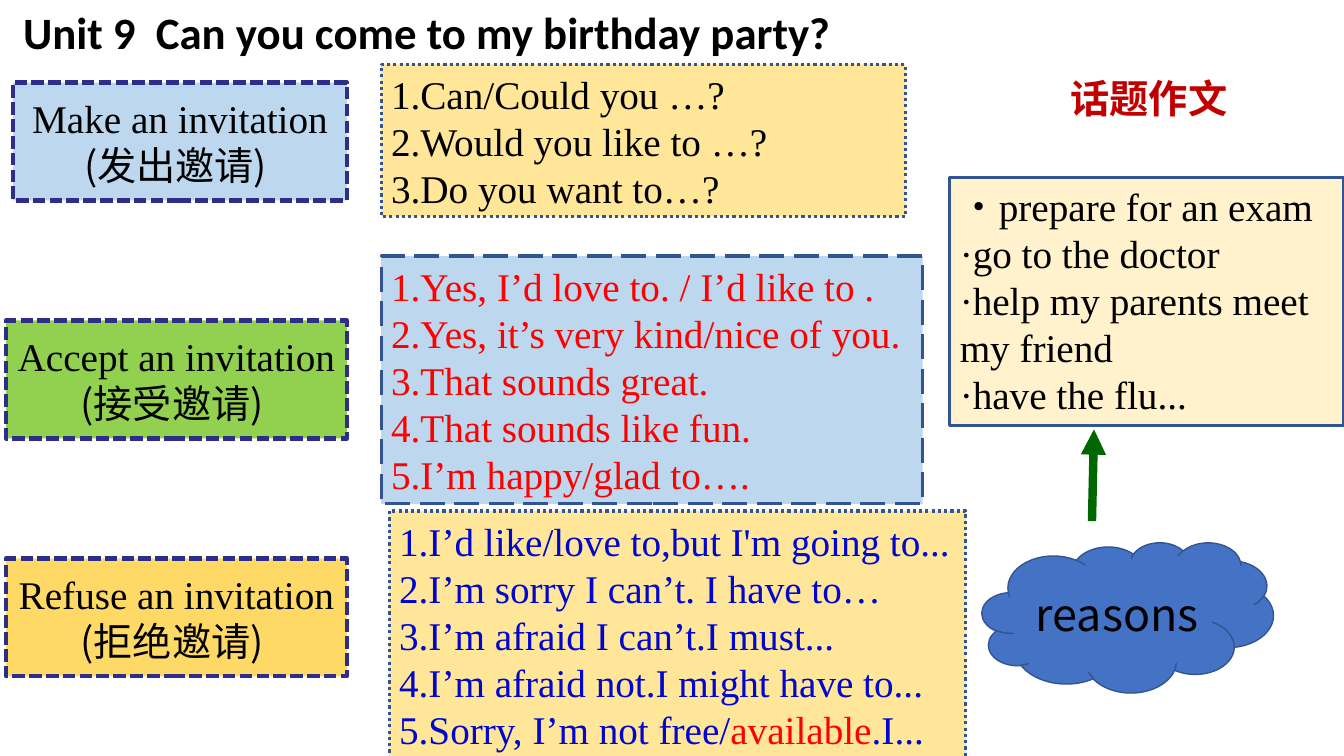
from pptx import Presentation
from pptx.dml.color import RGBColor
from pptx.enum.dml import MSO_LINE as Dash
from pptx.enum.shapes import MSO_CONNECTOR as Link, MSO_SHAPE as Kind
from pptx.enum.text import MSO_ANCHOR as Anchor, MSO_AUTO_SIZE as Fit, PP_ALIGN as Align
from pptx.oxml.ns import qn
from pptx.util import Inches, Pt
from lxml.etree import SubElement as Sub

WIDE, HIGH = Inches(13.33), Inches(7.5)
ROMAN, HAN, SANS = "Times New Roman", "Noto Sans CJK SC", "Calibri"
BLACK, RED, BLUE = "000000", "FF0000", "0005CF"
NAVY, EDGE = "2D2D8A", "325491"
SKY, SAND = "BDD7EE", "FFE699"


def color(code):
    """Turn a hex string into a colour."""
    return RGBColor.from_string(code)


def place(x, y, w, h):
    """Turn percentages of the slide into left, top, width and height."""
    return [int(side * part / 100) for side, part in zip((WIDE, HIGH) * 2, (x, y, w, h))]


def style(font, face=None, size=None, ink=None, bold=None):
    """Set the given features of a font, for Latin and Chinese text alike."""
    if size:
        font.size = Pt(size)
    if bold is not None:
        font.bold = bold
    if ink:
        font.color.rgb = color(ink)
    if face:
        font.name = face
        Sub(font._element, qn("a:ea")).set("typeface", face)


def write(shape, lines, face=ROMAN, size=28, ink=BLACK, bold=False, align=Align.LEFT,
          anchor=Anchor.MIDDLE, wrap=True, grow=True):
    """Write lines; a line is a string or a list of (text, changes) runs."""
    frame = shape.text_frame
    frame.word_wrap, frame.vertical_anchor = wrap, anchor
    frame.auto_size = Fit.SHAPE_TO_FIT_TEXT if grow else Fit.NONE
    for i, line in enumerate(lines):
        para = frame.paragraphs[0] if i == 0 else frame.add_paragraph()
        para.alignment = align
        style(para.font, face, size, ink, bold)
        for text, change in [(line, {})] if isinstance(line, str) else line:
            run = para.add_run()
            run.text = text
            style(run.font, **change)


def box(slide, spot, fill, edge=EDGE, width=2.25, dash=None, kind=Kind.RECTANGLE):
    """Add a filled, outlined shape without a shadow."""
    shape = slide.shapes.add_shape(kind, *place(*spot))
    shape.shadow.inherit = False
    shape.fill.solid()
    shape.fill.fore_color.rgb = color(fill)
    shape.line.color.rgb = color(edge)
    shape.line.width = Pt(width)
    if dash:
        shape.line.dash_style = dash
    return shape


def label(slide, row, left, fill, name, han):
    """Add the dashed label of one row, in English and Chinese."""
    spot = left, 10.93 + 31.47 * row, 25.81 - left, 15.6
    shape = box(slide, spot, fill, NAVY, 3, Dash.SQUARE_DOT)
    write(shape, [name, [(f"({han}) ", {"face": HAN})]], align=Align.CENTER, grow=False)


def panel(slide, spot, fill, dash, lines, ink=BLACK, wrap=False):
    """Add a panel of sample sentences."""
    write(box(slide, spot, fill, dash=dash), lines, ink=ink, wrap=wrap)


def caption(slide, spot, text, **look):
    """Add a bold line of free text and return its paragraph."""
    shape = slide.shapes.add_textbox(*place(*spot))
    write(shape, [text], bold=True, anchor=Anchor.TOP, **look)
    return shape.text_frame.paragraphs[0]


def arrow(slide, start, end, ink, width):
    """Add a straight arrow between two points."""
    link = slide.shapes.add_connector(Link.STRAIGHT, *place(*start, *end))
    link.line.color.rgb = color(ink)
    link.line.width = Pt(width)
    Sub(link.line._get_or_add_ln(), qn("a:tailEnd")).set("type", "triangle")
    Sub(link._element.spPr, qn("a:effectLst"))


def main():
    """Build the slide and save it."""
    deck = Presentation()
    deck.slide_width, deck.slide_height = WIDE, HIGH
    slide = deck.slides.add_slide(deck.slide_layouts[6])

    caption(slide, (0.98, 0, 76.3, 8.53), "Unit 9  Can you come to my birthday party?",
            face=SANS, size=32)

    label(slide, 0, 0.98, SKY, "Make an invitation", "发出邀请")
    label(slide, 1, 0.45, "92D050", "Accept an invitation", "接受邀请")
    label(slide, 2, 0.45, "FFD966", "Refuse an invitation", "拒绝邀请")

    panel(slide, (28.36, 33.87, 40.29, 32.8), SKY, Dash.LONG_DASH, [
        "1.Yes, I’d love to. / I’d like to .",
        "2.Yes, it’s very kind/nice of you.",
        "3.That sounds great.",
        "4.That sounds like fun.",
        "5.I’m happy/glad to…. "], RED)
    panel(slide, (28.96, 67.6, 42.91, 32.8), SAND, Dash.ROUND_DOT, [
        "1.I’d like/love to,but I'm going to...",
        "2.I’m sorry I can’t. I have to…",
        "3.I’m afraid I can’t.I must...",
        "4.I’m afraid not.I might have to...",
        [("5.Sorry, I’m not free/", {}), ("available", {"ink": RED}), (".I... ", {})]], BLUE)
    panel(slide, (28.36, 8.53, 39.01, 20.13), SAND, Dash.ROUND_DOT, [
        "1.Can/Could you …?",
        "2.Would you like to …?",
        "3.Do you want to…?"], wrap=True)

    cloud = box(slide, (73.07, 71.73, 21.68, 19.87), "4472C4", width=1, kind=Kind.CLOUD)
    write(cloud, ["reasons"], HAN, 32, align=Align.CENTER, grow=False)
    cause = box(slide, (70.67, 23.47, 29.33, 32.8), "FFF2CC")
    write(cause, [
        [("·", {"face": HAN}), ("prepare for an exam", {})],
        "·go to the doctor",
        "·help my parents meet my friend",
        "·have the flu..."], anchor=Anchor.TOP)
    arrow(slide, (81.25, 68.93), (81.4, 56.8), "006600", 6)

    topic = caption(slide, (78.92, 6, 14.78, 9.6), "话题作文", face=HAN, ink="C00000")
    topic.line_spacing = 1.5

    deck.save("out.pptx")


main()
